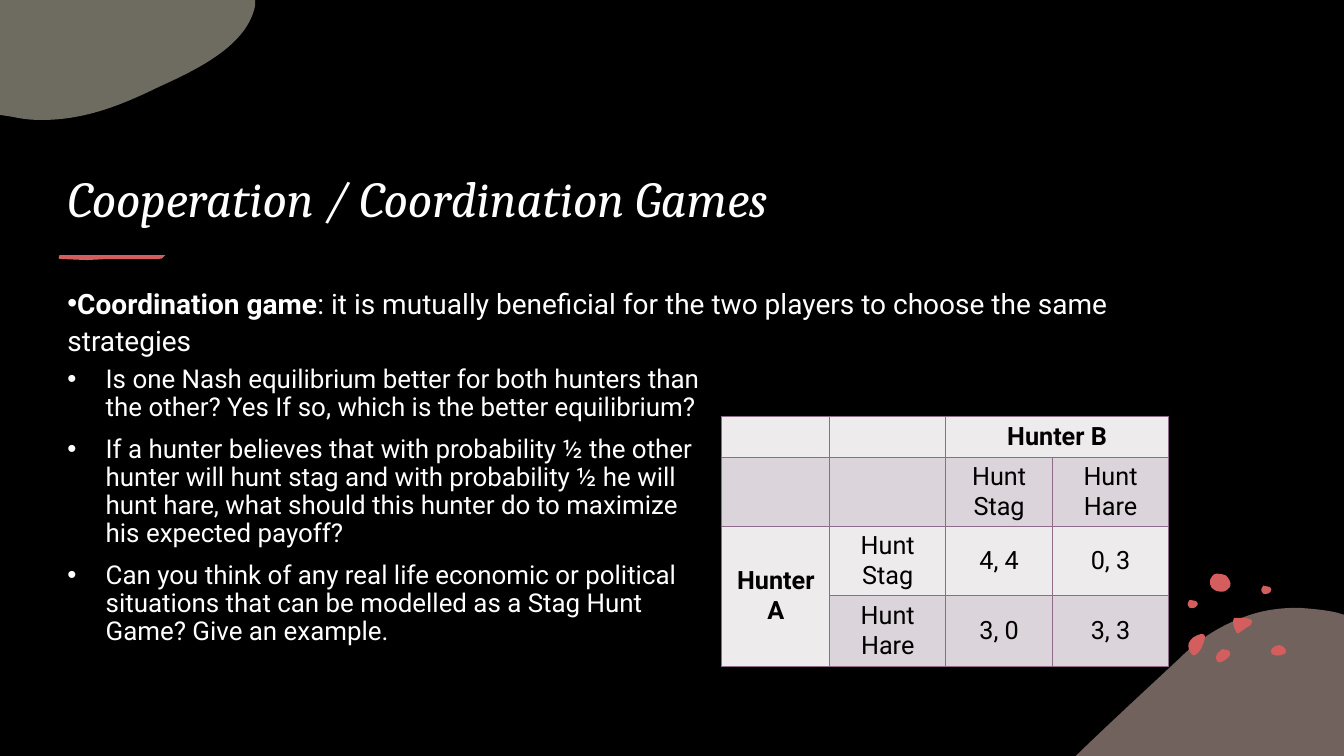
import dataclasses

import lxml.etree
import pptx
import pptx.dml.color
import pptx.enum.text
import pptx.oxml.ns
import pptx.util

EMU_PER_PX = 9144
ALIGN = pptx.enum.text.PP_ALIGN
ANCHOR = pptx.enum.text.MSO_ANCHOR


@dataclasses.dataclass(frozen=True)
class Theme:
    background: str = "000000"
    light: str = "FFFFFF"
    dark: str = "000000"
    coral: str = "D45E5E"
    sand: str = "DCD9C3"
    clay: str = "E5C4BA"
    border: str = "8F6B8A"
    bands: tuple = ("EEEBED", "DBD4DA")
    title_font: str = "Cambria"
    text_font: str = "Roboto"
    title_size: float = 36
    lead_size: float = 20
    question_size: float = 18.5
    table_size: float = 18


THEME = Theme()

# Outlines: a start point, then lines (2 numbers) and Bezier curves (6 numbers).
TOP_BLOB = [(0, 0), (253, 0), (253, 6), (245, 44, 200, 67, 158, 86),
            (123, 103, 86, 119, 41, 119), (31, 119, 22, 118, 13, 116), (0, 114)]
BOTTOM_BLOB = [(221, 0), (234, 1, 247, 2, 260, 5), (266, 7), (266, 147), (0, 147),
               (1, 146), (35, 113, 70, 81, 102, 51), (124, 29, 147, 16, 170, 8),
               (187, 2, 204, 0, 221, 0)]
UNDERLINE = [(1, 0), (106, 0), (103, 1, 105, 4, 99, 4), (49, 4), (28, 5), (3, 4),
             (-1, 5, 0, 1, 1, 0)]
SMALL_DOT = [(0, 5), (0, 5, 0, 1, 2, 0), (4, 0, 5, 0, 7, 1), (8, 1, 10, 2, 10, 4),
             (10, 5, 9, 7, 8, 7), (8, 7, 8, 8, 6, 8), (5, 8, 3, 9, 2, 8),
             (1, 6, 0, 6, 0, 5)]
DOTS = [
    (28, 75, [(7, 0), (9, 0, 10, 0, 12, 1), (14, 2, 15, 4, 14, 6),
              (12, 9, 6, 14, 2, 13), (1, 12, 0, 10, 0, 8), (0, 6, 2, 3, 4, 2),
              (5, 1, 6, 0, 7, 0)]),
    (1, 60, [(12, 0), (14, 0, 16, 0, 16, 2), (16, 3, 16, 3, 16, 4),
             (15, 9, 13, 14, 10, 18), (8, 20, 5, 23, 3, 20), (0, 17, -1, 12, 0, 9),
             (1, 6, 3, 5, 5, 3), (6, 3, 9, 0, 12, 0)]),
    (83, 71, [(8, 0), (10, 0, 13, 2, 14, 4), (15, 6, 15, 8, 12, 9),
              (9, 11, 1, 11, 0, 8), (-1, 6, 0, 4, 1, 3), (3, 1, 5, 0, 8, 0)]),
    (22, 0, [(1, 12), (0, 12, -1, 6, 2, 3), (4, 1, 4, 0, 7, 0), (10, 0, 14, 1, 16, 2),
             (18, 4, 22, 9, 20, 13), (17, 16, 16, 18, 12, 18), (9, 18, 4, 17, 3, 15),
             (1, 14, 1, 13, 1, 12)]),
    (73, 12, SMALL_DOT),
    (0, 26, SMALL_DOT),
    (45, 44, [(5, 0), (11, 0, 22, 0, 18, 6), (18, 7, 17, 8, 16, 8),
              (13, 10, 10, 12, 7, 14), (6, 15, 5, 16, 4, 15), (4, 15, 3, 14, 3, 14),
              (1, 10, 0, 7, 0, 3), (0, 2, 0, 1, 1, 0)]),
]

QUESTIONS = [
    "Is one Nash equilibrium better for both hunters than the other? "
    "Yes If so, which is the better equilibrium?",
    "If a hunter believes that with probability ½ the other hunter will hunt stag and "
    "with probability ½ he will hunt hare, what should this hunter do to maximize his "
    "expected payoff?",
    "Can you think of any real life economic or political situations that can be "
    "modelled as a Stag Hunt Game? Give an example.",
]
PAYOFFS = [
    ["", "", "Hunter B", ""],
    ["", "", "Hunt Stag", "Hunt Hare"],
    ["Hunter A", "Hunt Stag", "4, 4", "0, 3"],
    ["", "Hunt Hare", "3, 0", "3, 3"],
]


def px(length):
    return pptx.util.Emu(round(length * EMU_PER_PX))


def rgb(value):
    return pptx.dml.color.RGBColor.from_string(value)


def apply(target, **values):
    for name, value in values.items():
        setattr(target, name, value)


def add_span(para, text, font, size, color, **values):
    span = para.add_run()
    span.text = text
    apply(span.font, name=font, size=pptx.util.Pt(size), **values)
    span.font.color.rgb = rgb(color)


def add_xml(parent, tag, **attributes):
    return lxml.etree.SubElement(parent, pptx.oxml.ns.qn(tag), attributes)


def add_bullet(para, margin, hang):
    properties = para._p.get_or_add_pPr()
    properties.set("marL", str(px(margin)))
    properties.set("indent", str(-px(hang)))
    add_xml(properties, "a:buFont", typeface="Arial")
    add_xml(properties, "a:buChar", char="•")


def bend_segments(shape, left, top, outline):
    """Turn the straight segments that have control points into curves."""
    lines = list(shape._element.iter(pptx.oxml.ns.qn("a:lnTo")))
    for line, segment in zip(lines, outline[1:]):
        if len(segment) == 6:
            curve = lxml.etree.Element(pptx.oxml.ns.qn("a:cubicBezTo"))
            for x, y in zip(segment[::2], segment[1::2]):
                add_xml(curve, "a:pt", x=str(px(left + x) - shape.left),
                        y=str(px(top + y) - shape.top))
            line.getparent().replace(line, curve)


def add_outline(page, left, top, outline, color, opacity=100):
    anchors = [(px(left + x), px(top + y)) for *_, x, y in outline]
    builder = page.shapes.build_freeform(*anchors[0])
    builder.add_line_segments(anchors[1:], close=True)
    shape = builder.convert_to_shape()
    bend_segments(shape, left, top, outline)
    shape.shadow.inherit = False
    shape.line.fill.background()
    shape.fill.solid()
    shape.fill.fore_color.rgb = rgb(color)
    if opacity < 100:
        fill_color = shape._element.spPr.find(".//" + pptx.oxml.ns.qn("a:srgbClr"))
        add_xml(fill_color, "a:alpha", val=str(opacity * 1000))


def add_decoration(page):
    add_outline(page, 1067, 603, BOTTOM_BLOB, THEME.clay, 50)
    for x, y, outline in DOTS:
        add_outline(page, 1178 + x, 569 + y, outline, THEME.coral)
    add_outline(page, 0, 0, TOP_BLOB, THEME.sand, 50)
    add_outline(page, 58, 253, UNDERLINE, THEME.coral)


def add_title(page, left, top, width, height):
    title = page.shapes.title
    apply(title, left=px(left), top=px(top), width=px(width), height=px(height))
    apply(title.text_frame, vertical_anchor=ANCHOR.BOTTOM, word_wrap=True,
          auto_size=pptx.enum.text.MSO_AUTO_SIZE.NONE)
    para = title.text_frame.paragraphs[0]
    para.alignment = ALIGN.LEFT
    add_span(para, "Cooperation / Coordination Games", THEME.title_font,
             THEME.title_size, THEME.light, italic=True)


def add_text_frame(page, left, top, width, height):
    box = page.shapes.add_textbox(px(left), px(top), px(width), px(height))
    box.text_frame.word_wrap = True
    return box.text_frame


def add_definition(page, *box):
    para = add_text_frame(page, *box).paragraphs[0]
    add_bullet(para, 0, 25)
    para.line_spacing = 1.1
    style = (THEME.text_font, THEME.lead_size, THEME.light)
    add_span(para, "Coordination game", *style, bold=True)
    add_span(para, ": it is mutually beneficial for the two players to choose "
                   "the same strategies", *style)


def add_questions(page, *box):
    frame = add_text_frame(page, *box)
    for index, question in enumerate(QUESTIONS):
        para = frame.add_paragraph() if index else frame.paragraphs[0]
        add_bullet(para, 38, 38)
        apply(para, line_spacing=0.9, space_before=pptx.util.Pt(10 if index else 0))
        add_span(para, question, THEME.text_font, THEME.question_size, THEME.light)


def add_borders(cell):
    properties = cell._tc.get_or_add_tcPr()
    for index, side in enumerate(("a:lnL", "a:lnR", "a:lnT", "a:lnB")):
        line = add_xml(properties, side, w=str(pptx.util.Pt(1)))
        add_xml(add_xml(line, "a:solidFill"), "a:srgbClr", val=THEME.border)
        properties.insert(index, line)


def add_payoffs(page, left, top, columns, rows):
    table = page.shapes.add_table(len(rows), len(columns), px(left), px(top),
                                  px(sum(columns)), px(sum(rows))).table
    apply(table, first_row=False, horz_banding=False)
    for column, width in zip(table.columns, columns):
        column.width = px(width)
    for row, height in zip(table.rows, rows):
        row.height = px(height)
    for i, texts in enumerate(PAYOFFS):
        for j, text in enumerate(texts):
            cell = table.cell(i, j)
            apply(cell, vertical_anchor=ANCHOR.MIDDLE, margin_top=px(4),
                  margin_bottom=px(4))
            cell.fill.solid()
            cell.fill.fore_color.rgb = rgb(THEME.bands[i % 2])
            add_borders(cell)
            if text:
                para = cell.text_frame.paragraphs[0]
                para.alignment = ALIGN.CENTER
                add_span(para, text, THEME.text_font, THEME.table_size, THEME.dark,
                         bold=text.startswith("Hunter"))
    table.cell(0, 2).merge(table.cell(0, 3))
    table.cell(2, 0).merge(table.cell(3, 0))


def main():
    deck = pptx.Presentation()
    apply(deck, slide_width=px(1333), slide_height=px(750))
    page = deck.slides.add_slide(deck.slide_layouts.get_by_name("Title Only"))
    page.background.fill.solid()
    page.background.fill.fore_color.rgb = rgb(THEME.background)
    add_decoration(page)
    add_title(page, 57, 86, 1102, 145)
    add_definition(page, 57, 276, 1102, 388)
    add_payoffs(page, 716, 413, [107, 115, 106, 115], [41, 68, 69, 70])
    add_questions(page, 57, 358, 658, 351)
    deck.save("out.pptx")


if __name__ == "__main__":
    main()
